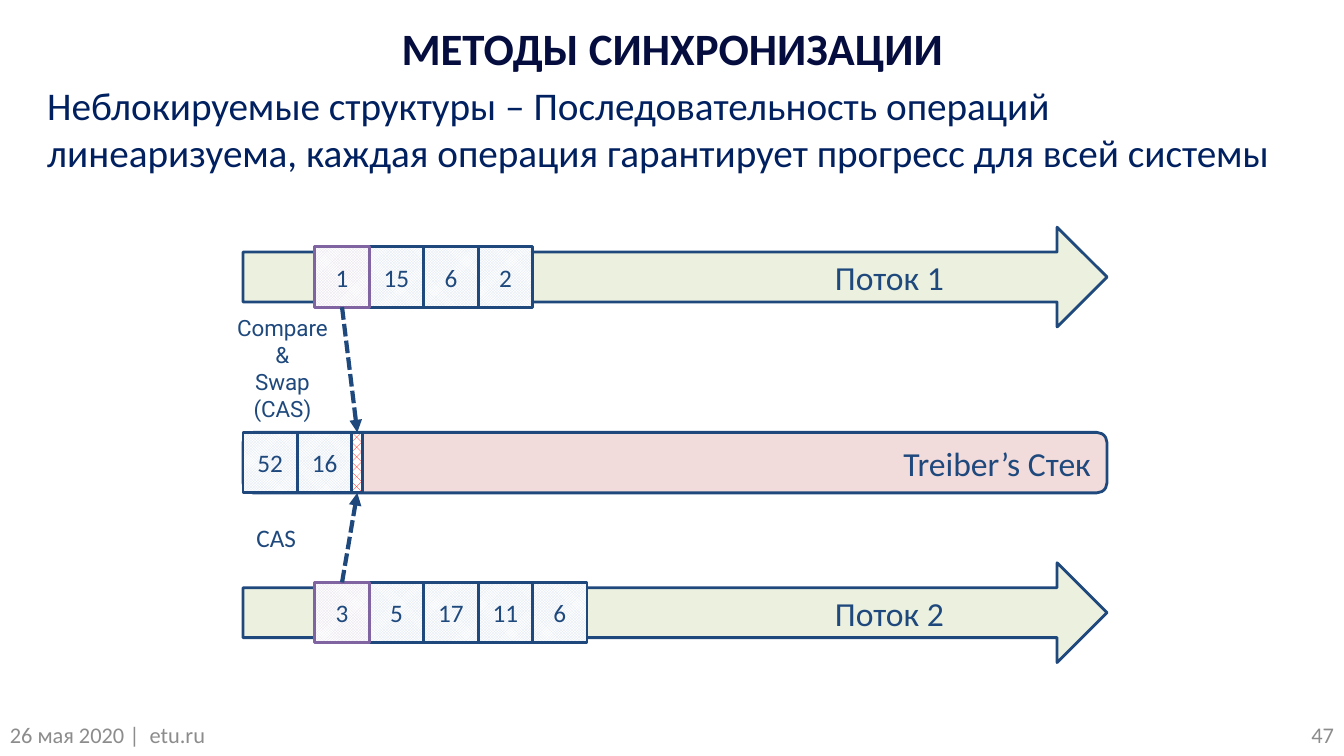
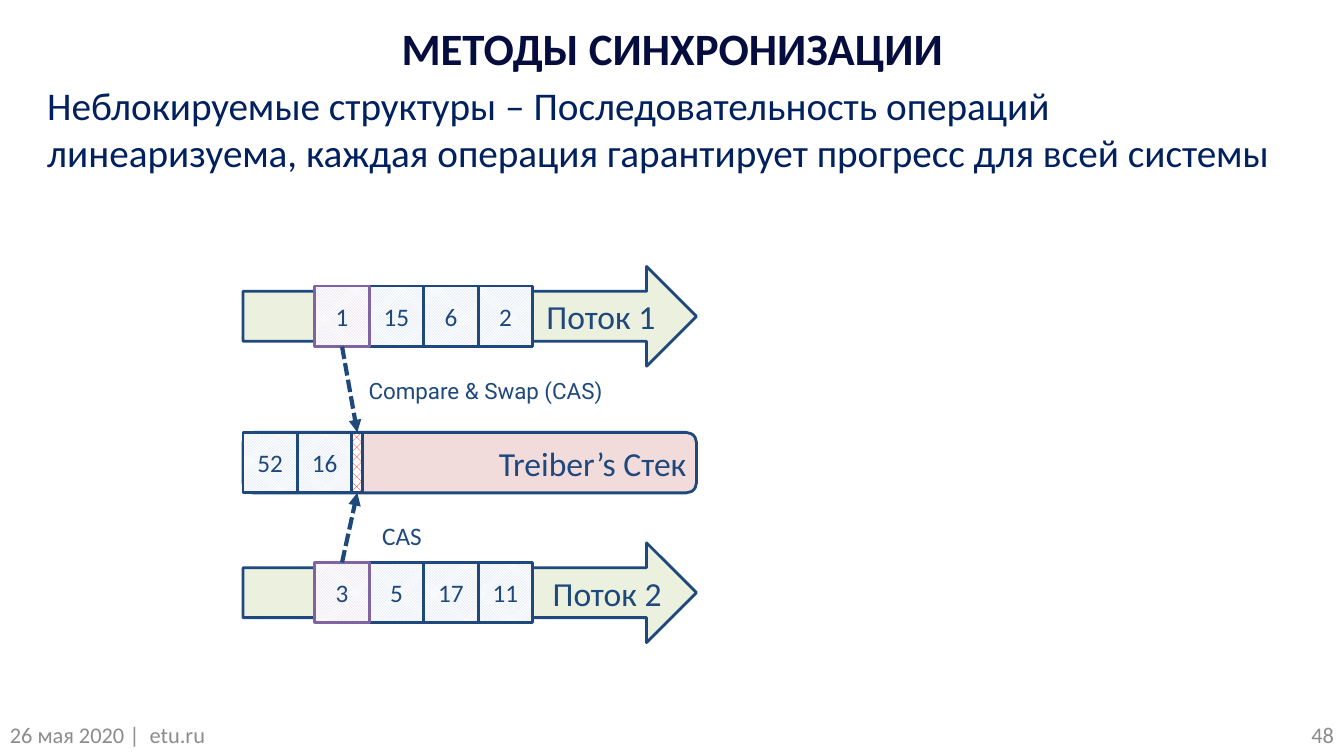
from pptx import Presentation
from pptx.dml.color import RGBColor
from pptx.enum.dml import MSO_LINE, MSO_PATTERN
from pptx.enum.shapes import MSO_CONNECTOR, MSO_SHAPE
from pptx.enum.text import MSO_ANCHOR, MSO_AUTO_SIZE, PP_ALIGN
from pptx.oxml.ns import qn
from pptx.util import Inches, Pt
from lxml import etree

LEFT, CENTER, RIGHT = PP_ALIGN.LEFT, PP_ALIGN.CENTER, PP_ALIGN.RIGHT
TOP, MIDDLE = MSO_ANCHOR.TOP, MSO_ANCHOR.MIDDLE
RECTANGLE, ROUNDED = MSO_SHAPE.RECTANGLE, MSO_SHAPE.ROUNDED_RECTANGLE
ARROW = MSO_SHAPE.RIGHT_ARROW
CHECK, DOTS = MSO_PATTERN.SMALL_CHECKER_BOARD, MSO_PATTERN.PERCENT_30
DASH = MSO_LINE.SQUARE_DOT
STRAIGHT = MSO_CONNECTOR.STRAIGHT
FIXED_SIZE = MSO_AUTO_SIZE.NONE
TOP_SIDE, BOTTOM_SIDE = 0, 2

WIDTH, HEIGHT = 13.33, 7.5
ORIGIN_X, ORIGIN_Y = 2.41, 4.29
COLUMN, ROW = 0.54, 0.6
LANE_START = 1.32
ARROW_ROWS = 1.65

INK, NAVY, TITLE_BLUE, GRAY = "1F497D", "002060", "050D3F", "8C8C8C"
GREEN, PINK, BLUE, LILAC = "EBF1DE", "F2DCDB", "DCE6F2", "E6E0EC"
PURPLE, RED, WHITE = "8064A2", "FF0000", "FFFFFF"

TITLE = "МЕТОДЫ СИНХРОНИЗАЦИИ"
SUBTITLE = ("Неблокируемые структуры – Последовательность операций "
            "линеаризуема, каждая операция гарантирует прогресс для всей системы")
FOOTER = "26 мая 2020 |  etu.ru"

SLIDES = [
    {"number": 47, "columns": 15.87, "stack_inset": 0.13,
     "lanes": [("Поток 1", -3.07, [1, 15, 6, 2], 1.37),
               ("Поток 2", 2.48, [3, 5, 17, 11, 6], 1.37)],
     "labels": [("Compare\n&\nSwap (CAS)", (-0.43, -2.03, 2.31, 1.97), "Roboto", 16),
                ("CAS", (0, 1.4, 1.22, 0.67), "Calibri", 18)]},
    {"number": 48, "columns": 8.33, "stack_inset": 0.07,
     "lanes": [("Поток 1", -2.42, [1, 15, 6, 2], 0.16),
               ("Поток 2", 2.15, [3, 5, 17, 11], 0.1)],
     "labels": [("Compare & Swap (CAS)", (0, -1, 8.91, 0.62), "Roboto", 16),
                ("CAS", (2.31, 1.37, 1.22, 0.67), "Calibri", 18)]},
]


def color(value):
    return RGBColor.from_string(value)


def percent(left, top, width, height):
    return [Inches(share * size / 100) for share, size in
            zip((left, top, width, height), (WIDTH, HEIGHT, WIDTH, HEIGHT))]


def grid(column, row, columns, rows):
    return [Inches(length) for length in
            (ORIGIN_X + column * COLUMN, ORIGIN_Y + row * ROW,
             columns * COLUMN, rows * ROW)]


class Deck:
    def __init__(self):
        self.presentation = Presentation()
        self.presentation.slide_width = Inches(WIDTH)
        self.presentation.slide_height = Inches(HEIGHT)
        self.slide = None

    def set_text(self, shape, text, size, ink=INK, font="Calibri", bold=False,
                 align=CENTER, anchor=MIDDLE, **insets):
        frame = shape.text_frame
        frame.text = text
        frame_format = {"word_wrap": True, "auto_size": FIXED_SIZE,
                        "vertical_anchor": anchor}
        frame_format.update({name: Inches(value) for name, value in insets.items()})
        for name, value in frame_format.items():
            setattr(frame, name, value)
        for paragraph in frame.paragraphs:
            paragraph.alignment = align
            for name, value in {"name": font, "size": Pt(size), "bold": bold}.items():
                setattr(paragraph.font, name, value)
            paragraph.font.color.rgb = color(ink)

    def text_box(self, area, text, size, **style):
        box = self.slide.shapes.add_textbox(*area)
        self.set_text(box, text, size, anchor=TOP, **style)

    def start(self, number):
        self.slide = self.presentation.slides.add_slide(
            self.presentation.slide_layouts[5])
        title = self.slide.shapes.title
        title.left, title.top, title.width, title.height = percent(2.78, 2.4, 94.5, 7.73)
        self.set_text(title, TITLE, 32, ink=TITLE_BLUE, bold=True)
        self.text_box(percent(2.78, 10.13, 94.5, 15.73), SUBTITLE, 28,
                      ink=NAVY, align=LEFT)
        self.text_box(percent(0, 94.67, 23.33, 5.33), FOOTER, 16, ink=GRAY, align=LEFT)
        self.text_box(percent(76.67, 94.67, 23.33, 5.33), str(number), 16,
                      ink=GRAY, align=RIGHT)

    def block(self, kind, area, fill, line=INK, pattern=None):
        shape = self.slide.shapes.add_shape(kind, *area)
        shape.shadow.inherit = False
        if pattern is None:
            shape.fill.solid()
        else:
            shape.fill.patterned()
            shape.fill.pattern = pattern
            shape.fill.back_color.rgb = color(WHITE)
        shape.fill.fore_color.rgb = color(fill)
        shape.line.color.rgb = color(line)
        shape.line.width = Pt(2)
        return shape

    def cells(self, column, row, values, first_style=(BLUE, INK)):
        for index in reversed(range(len(values))):
            fill, line = (BLUE, INK) if index else first_style
            cell = self.block(RECTANGLE, grid(column + index, row, 1, 1),
                              fill, line, CHECK)
            self.set_text(cell, str(values[index]), 18)
        return cell

    def lane(self, name, row, values, columns, inset):
        area = grid(0, row + (1 - ARROW_ROWS) / 2, columns, ARROW_ROWS)
        arrow = self.block(ARROW, area, GREEN)
        self.set_text(arrow, name, 24, align=RIGHT, margin_right=inset)
        return self.cells(LANE_START, row, values, (LILAC, PURPLE))

    def stack(self, columns, inset):
        bar = self.block(ROUNDED, grid(0, 0, columns, 1), PINK)
        self.set_text(bar, "Treiber’s Стек", 24, align=RIGHT, margin_left=0,
                      margin_top=0, margin_bottom=0, margin_right=inset)
        self.cells(0, 0, [52, 16])
        return self.block(RECTANGLE, grid(2, 0, 0.2, 1), RED, pattern=DOTS)

    def dashed_arrow(self, source, source_side, target, target_side):
        connector = self.slide.shapes.add_connector(STRAIGHT, 0, 0, 0, 0)
        connector.begin_connect(source, source_side)
        connector.end_connect(target, target_side)
        connector.line.color.rgb = color(INK)
        connector.line.width = Pt(3)
        connector.line.dash_style = DASH
        properties = connector.element.spPr
        outline = properties.find(qn("a:ln"))
        etree.SubElement(outline, qn("a:tailEnd"), type="triangle")
        etree.SubElement(properties, qn("a:effectLst"))


def main():
    deck = Deck()
    for content in SLIDES:
        deck.start(content["number"])
        columns = content["columns"]
        upper, lower = [deck.lane(name, row, values, columns, inset)
                        for name, row, values, inset in content["lanes"]]
        free_slot = deck.stack(columns, content["stack_inset"])
        deck.dashed_arrow(upper, BOTTOM_SIDE, free_slot, TOP_SIDE)
        deck.dashed_arrow(lower, TOP_SIDE, free_slot, BOTTOM_SIDE)
        for text, area, font, size in content["labels"]:
            deck.text_box(grid(*area), text, size, font=font)
    deck.presentation.save("out.pptx")


if __name__ == "__main__":
    main()
